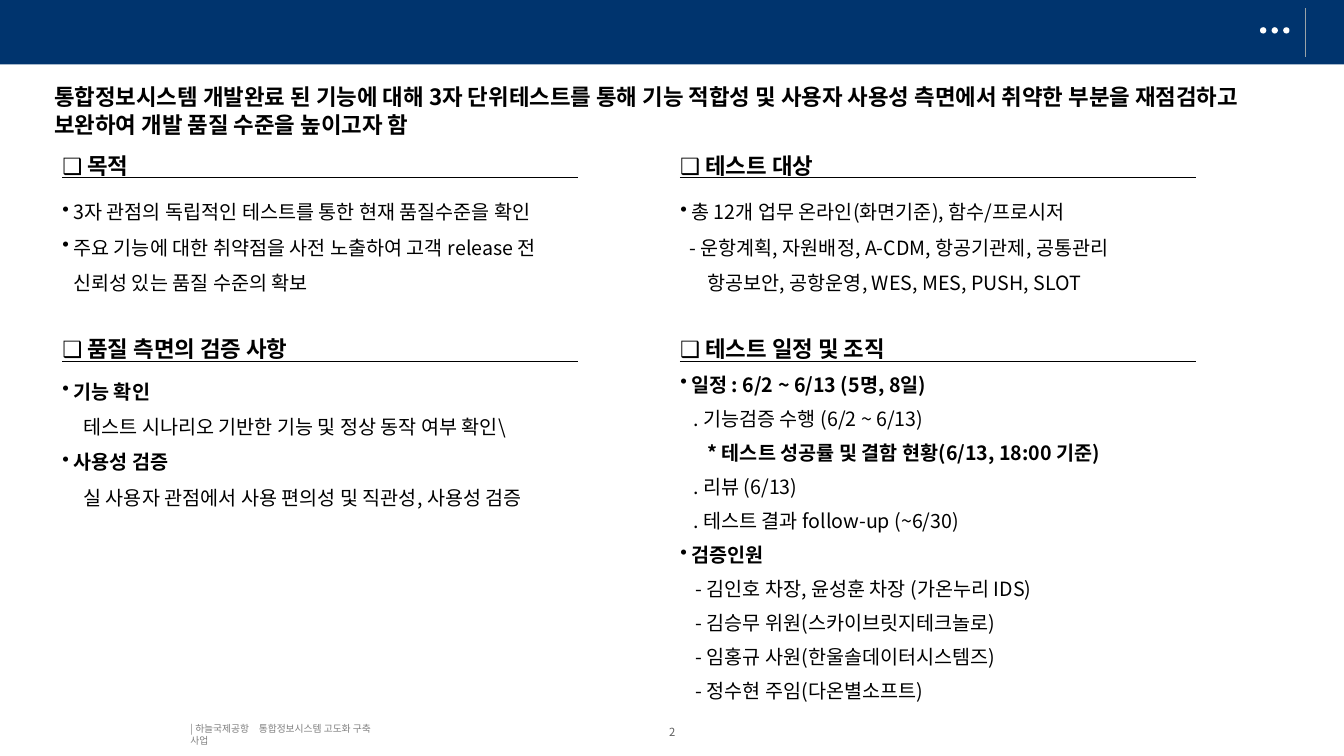
from lxml import etree
from pptx import Presentation
from pptx.dml.color import RGBColor
from pptx.enum.shapes import MSO_CONNECTOR, MSO_SHAPE
from pptx.enum.text import MSO_ANCHOR, PP_ALIGN
from pptx.oxml.ns import qn
from pptx.util import Inches, Pt

RECT, OVAL, LINE = MSO_SHAPE.RECTANGLE, MSO_SHAPE.OVAL, MSO_CONNECTOR.STRAIGHT
TOP, MIDDLE = MSO_ANCHOR.TOP, MSO_ANCHOR.MIDDLE
LEFT, CENTER = PP_ALIGN.LEFT, PP_ALIGN.CENTER
COLORS = {"navy": "00346E", "white": "FFFFFF", "black": "000000",
          "rule": "9AA3A8", "page": "5F5F5F", "footer": "808080"}
FONT = "Noto Sans CJK KR"
COLS, ROWS = 160, 90


def rgb(name):
    """Return the named palette colour."""
    return RGBColor.from_string(COLORS[name])


def write(p, text, size=14, bold=False, color="black", align=LEFT,
          spacing=None, before=0, margin=0, hang=0, bullet=False):
    """Fill a paragraph with formatted text."""
    pPr = p._p.get_or_add_pPr()
    pPr.set("marL", str(Inches(margin)))
    pPr.set("indent", str(-Inches(hang)))
    if bullet:
        etree.SubElement(pPr, qn("a:buChar")).set("char", "•")
    p.text = text
    p.alignment = align
    p.space_before = Pt(before)
    if spacing:
        p.line_spacing = spacing
    for br in p._p.findall(qn("a:br")):
        etree.SubElement(br, qn("a:rPr")).set("sz", str(size * 100))
    for r in p.runs:
        r.font.name, r.font.size, r.font.bold = FONT, Pt(size), bold
        r.font.color.rgb = rgb(color)
        etree.SubElement(r._r.get_or_add_rPr(), qn("a:ea")).set("typeface", FONT)


class Deck:
    """Slide style, grid and drawing methods."""

    def __init__(self):
        """Open a blank widescreen slide."""
        self.prs = Presentation()
        self.prs.slide_width, self.prs.slide_height = Inches(13.33), Inches(7.5)
        self.s = self.prs.slides.add_slide(self.prs.slide_layouts[6])

    def x(self, cols):
        """Convert grid columns to a length."""
        return int(self.prs.slide_width * cols / COLS)

    def y(self, rows):
        """Convert grid rows to a length."""
        return int(self.prs.slide_height * rows / ROWS)

    def shape(self, kind, col, row, w, h, fill):
        """Draw a flat filled shape."""
        sp = self.s.shapes.add_shape(kind, self.x(col), self.y(row), self.x(w), self.y(h))
        sp.shadow.inherit = False
        sp.fill.solid()
        sp.fill.fore_color.rgb = rgb(fill)
        sp.line.fill.background()

    def line(self, col, row, w, h, color):
        """Draw a thin straight line."""
        ln = self.s.shapes.add_connector(LINE, self.x(col), self.y(row),
                                         self.x(col + w), self.y(row + h))
        ln.line.color.rgb, ln.line.width = rgb(color), Pt(0.75)
        etree.SubElement(ln._element.spPr, qn("a:effectLst"))

    def text(self, col, row, w, h, items, anchor=TOP, inset=True, **base):
        """Place a text box of (text, format) paragraphs."""
        sp = self.s.shapes.add_textbox(self.x(col), self.y(row), self.x(w), self.y(h))
        tf = sp.text_frame
        tf.word_wrap, tf.vertical_anchor = True, anchor
        if not inset:
            tf.margin_left = tf.margin_right = tf.margin_top = tf.margin_bottom = 0
        for i, (text, fmt) in enumerate(items):
            p = tf.paragraphs[0] if i == 0 else tf.add_paragraph()
            opts = {**base, **fmt}
            if i == 0:
                opts["before"] = 0
            write(p, text, **opts)

    def section(self, col, row, title, body_row, w, h, items, **base):
        """Place an underlined heading with its body."""
        self.text(col, row, 42, 4.44, [("❑ " + title, {})], size=16, bold=True)
        self.line(col + 1.15, row + 3.66, 61.44, 0, "black")
        self.text(col, body_row, w, h, items, **base)


def main():
    """Build and save the slide."""
    d = Deck()
    d.shape(RECT, 0, 0, COLS, 7.68, "navy")
    d.line(155.4, 1, 0, 5.8, "rule")
    for i in range(3):
        d.shape(OVAL, 150 + 1.38 * i, 3.24, 0.75, 0.75, "white")

    d.text(5.28, 9.12, 150.5, 7.92, [(
        "통합정보시스템 개발완료 된 기능에 대해 3자 단위테스트를 통해 기능 적합성 및 사용자 사용성 "
        "측면에서 취약한 부분을 재점검하고 보완하여 개발 품질 수준을 높이고자 함", {})],
        size=16, bold=True, spacing=Pt(20))

    left, right = 6.24, 79.8
    upper, lower = 17.52, 39.34
    item = {"bullet": True, "margin": 0.11, "hang": 0.11}
    head = {**item, "bold": True}
    detail = {"margin": 0.21}
    step = {"margin": 0.13}
    person = {"margin": 0.15}

    d.section(left, upper, "목적", 21.84, 68.8, 13.9, [
        ("3자 관점의 독립적인 테스트를 통한 현재 품질수준을 확인", item),
        ("주요 기능에 대한 취약점을 사전 노출하여 고객 release 전\v신뢰성 있는 품질 수준의 확보", item),
    ], spacing=1.5)
    d.section(left, lower, "품질 측면의 검증 사항", 43.2, 65.2, 18.1, [
        ("기능 확인", head),
        ("테스트 시나리오 기반한 기능 및 정상 동작 여부 확인\\", detail),
        ("사용성 검증", head),
        ("실 사용자 관점에서 사용 편의성 및 직관성, 사용성 검증", detail),
    ], spacing=1.5)
    d.section(right, upper, "테스트 대상", 21.84, 72.1, 13.9, [
        ("총 12개 업무 온라인(화면기준), 함수/프로시저", item),
        ("- 운항계획, 자원배정, A-CDM, 항공기관제, 공통관리", {"margin": 0.09}),
        ("항공보안, 공항운영, WES, MES, PUSH, SLOT", {"margin": 0.27}),
    ], spacing=1.5)
    d.section(right, lower, "테스트 일정 및 조직", 43.2, 64.3, 42.6, [
        ("일정 : 6/2 ~ 6/13 (5명, 8일)", head),
        (". 기능검증 수행 (6/2 ~ 6/13)", step),
        ("* 테스트 성공률 및 결함 현황(6/13, 18:00 기준)", {"margin": 0.27, "bold": True}),
        (". 리뷰 (6/13)", step),
        (". 테스트 결과 follow-up (~6/30)", step),
        ("검증인원", head),
        ("- 김인호 차장, 윤성훈 차장 (가온누리 IDS)", person),
        ("- 김승무 위원(스카이브릿지테크놀로)", person),
        ("- 임홍규 사원(한울솔데이터시스템즈)", person),
        ("- 정수현 주임(다온별소프트)", person),
    ], spacing=1.2, before=4.2)

    d.text(22.68, 86.04, 23.52, 2.88, [("| 하늘국제공항　통합정보시스템 고도화 구축 사업", {})],
           anchor=MIDDLE, inset=False, size=7, color="footer")
    d.text(79.2, 86.4, 1.68, 1.56, [("2", {})],
           anchor=MIDDLE, inset=False, size=8, color="page", align=CENTER)
    d.prs.save("out.pptx")


if __name__ == "__main__":
    main()
